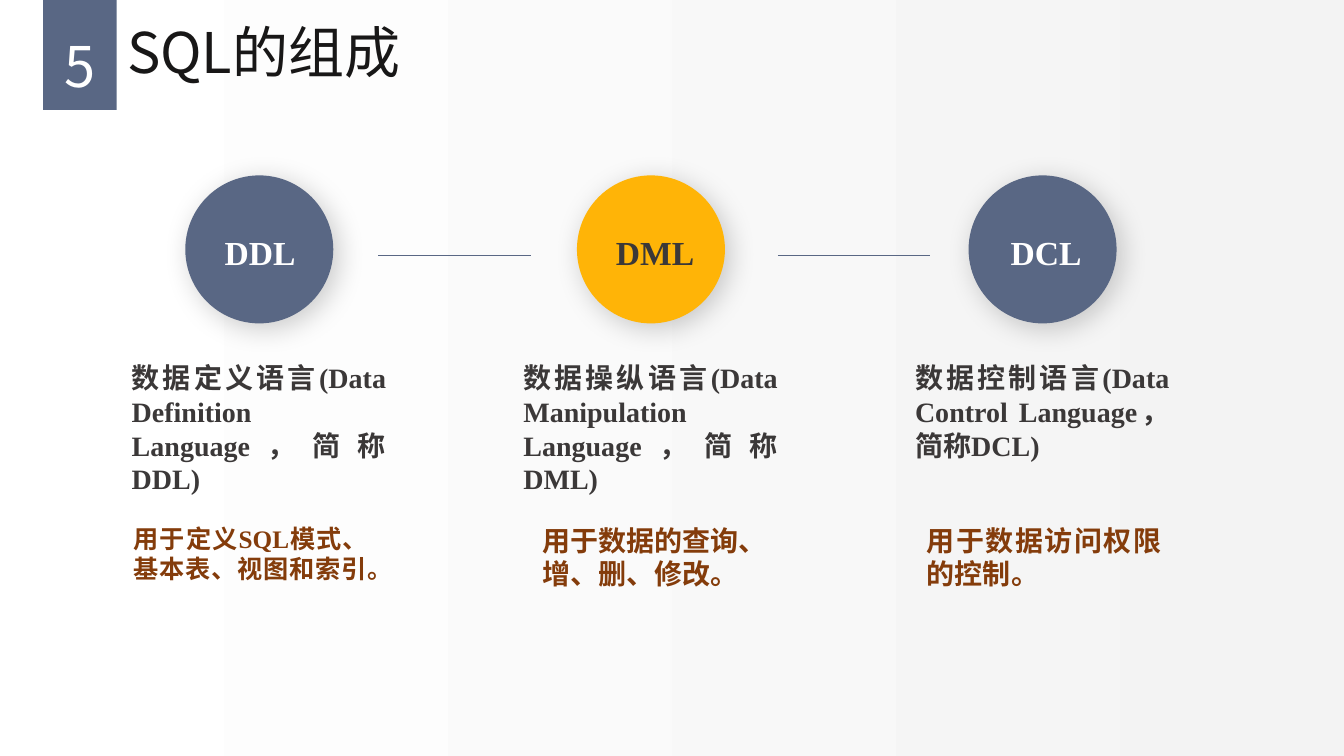
import pptx
import pptx.util
import pptx.dml.color
import pptx.enum.shapes
import pptx.enum.text
import pptx.oxml
import pptx.oxml.ns
import lxml.etree

Cm = pptx.util.Cm
Pt = pptx.util.Pt
ALIGN = pptx.enum.text.PP_ALIGN
FIT = pptx.enum.text.MSO_AUTO_SIZE
SHAPE = pptx.enum.shapes.MSO_SHAPE

SANS = "Noto Sans CJK SC"
SERIF = "Times New Roman"
SLATE, AMBER, WHITE = "596784", "FFB407", "FFFFFF"
DARK, BROWN, BLACK = "3B3838", "843C0B", "181717"
STEP = 9.87

TOPICS = [
    {"label": "DDL", "fill": SLATE, "ink": WHITE, "spot": (5.41, 2.39),
     "name": "数据定义语言(Data Definition Language，简称DDL)", "tall": 2.82,
     "use": "用于定义SQL模式、基本表、视图和索引。", "left": 3.12,
     "size": 18, "deep": 1.8, "align": ALIGN.JUSTIFY},
    {"label": "DML", "fill": AMBER, "ink": DARK, "spot": (15.27, 2.51),
     "name": "数据操纵语言(Data Manipulation Language，简称DML)", "tall": 3.68,
     "use": "用于数据的查询、增、删、修改。", "left": 13.41,
     "size": 20, "deep": 1.96, "align": ALIGN.LEFT},
    {"label": "DCL", "fill": SLATE, "ink": WHITE, "spot": (25.22, 2.31),
     "name": "数据控制语言(Data Control Language，简称DCL)", "tall": 2.82,
     "use": "用于数据访问权限的控制。", "left": 23.11,
     "size": 20, "deep": 1.96, "align": ALIGN.JUSTIFY},
]


def color(code):
    """Turn a hex string into a colour."""
    return pptx.dml.color.RGBColor.from_string(code)


def apply(item, values):
    """Set each attribute named in a dict."""
    for key, value in values.items():
        setattr(item, key, value)


def write(frame, text, face, size, ink, bold=False, **para):
    """Put one styled paragraph into a text frame."""
    line = frame.paragraphs[0]
    apply(line, para)
    run = line.add_run()
    run.text = text
    apply(run.font, {"name": face, "size": Pt(size), "bold": bold})
    run.font.color.rgb = color(ink)
    east = lxml.etree.SubElement(run.font._element, pptx.oxml.ns.qn("a:ea"))
    east.set("typeface", SANS)


def add_text(slide, box, text, face, size, ink, bold=True, wrap=True,
             inset=None, **para):
    """Add a text box that grows with its text."""
    frame = slide.shapes.add_textbox(*map(Cm, box)).text_frame
    apply(frame, {"word_wrap": wrap, "auto_size": FIT.SHAPE_TO_FIT_TEXT})
    if inset is not None:
        sides = ("left", "top", "right", "bottom")
        apply(frame, {f"margin_{side}": Cm(inset) for side in sides})
    write(frame, text, face, size, ink, bold, **para)


def add_form(slide, kind, box, fill):
    """Add a plain filled shape without outline."""
    form = slide.shapes.add_shape(kind, *map(Cm, box))
    form.shadow.inherit = False
    form.fill.solid()
    form.fill.fore_color.rgb = color(fill)
    form.line.fill.background()
    return form


def add_shade(form):
    """Give a shape a soft shadow to the lower right."""
    space = pptx.oxml.ns.nsdecls("a")
    shade = pptx.oxml.parse_xml(
        f'<a:outerShdw {space} blurRad="{Pt(20)}" dist="{Pt(5)}" '
        'dir="2700000" algn="tl" rotWithShape="0"><a:srgbClr val="000000">'
        '<a:alpha val="20000"/></a:srgbClr></a:outerShdw>')
    form._element.spPr.find(pptx.oxml.ns.qn("a:effectLst")).append(shade)


def add_line(slide, left, top, width):
    """Add a thin level line."""
    line = slide.shapes.add_connector(
        pptx.enum.shapes.MSO_CONNECTOR.STRAIGHT,
        Cm(left), Cm(top), Cm(left + width), Cm(top))
    line.line.color.rgb = color(SLATE)
    line.line.width = Pt(0.5)
    lxml.etree.SubElement(line._element.spPr, pptx.oxml.ns.qn("a:effectLst"))


def set_back(slide):
    """Fade the background from white to pale grey."""
    fill = slide.background.fill
    fill.gradient()
    fill.gradient_angle = 0
    for stop, code, place in zip(fill.gradient_stops, (WHITE, "F3F3F3"), (0, 1)):
        stop.color.rgb = color(code)
        stop.position = place


def set_title(slide, text):
    """Place and style the title."""
    title = slide.shapes.title
    apply(title, {"left": Cm(2.95), "top": Cm(0),
                  "width": Cm(25.2), "height": Cm(2.79)})
    apply(title.text_frame, {
        "word_wrap": True, "auto_size": FIT.NONE,
        "vertical_anchor": pptx.enum.text.MSO_ANCHOR.MIDDLE})
    write(title.text_frame, text, SANS, 40, BLACK,
          alignment=ALIGN.LEFT, line_spacing=0.9)


def add_topic(slide, rank, topic):
    """Add one column: disc, label, name and use."""
    shift = rank * STEP
    add_shade(add_form(slide, SHAPE.OVAL, (4.67 + shift, 4.42, 3.73, 3.73),
                       topic["fill"]))
    left, width = topic["spot"]
    add_text(slide, (left, 5.72, width, 1.27), topic["label"], SERIF, 24,
             topic["ink"], wrap=False)
    add_text(slide, (3.07 + shift, 8.97, 6.91, topic["tall"]), topic["name"],
             SERIF, 20, DARK, alignment=ALIGN.JUSTIFY)
    add_text(slide, (topic["left"], 13.06, 6.4, topic["deep"]), topic["use"],
             SERIF, topic["size"], BROWN, alignment=topic["align"])


def main():
    """Build the slide and save it."""
    deck = pptx.Presentation()
    apply(deck, {"slide_width": Cm(33.87), "slide_height": Cm(19.05)})
    slide = deck.slides.add_slide(deck.slide_layouts[5])
    set_back(slide)
    set_title(slide, "SQL的组成")
    add_form(slide, SHAPE.RECTANGLE, (1.09, 0, 1.85, 2.77), SLATE)
    add_text(slide, (1.09, 0.28, 1.85, 2.01), "5", SANS, 40, WHITE, bold=False,
             inset=0, alignment=ALIGN.CENTER, line_spacing=1.3)
    for rank, topic in enumerate(TOPICS):
        add_topic(slide, rank, topic)
    for left in (9.53, 19.6):
        add_line(slide, left, 6.43, 3.84)
    deck.save("out.pptx")


if __name__ == "__main__":
    main()
